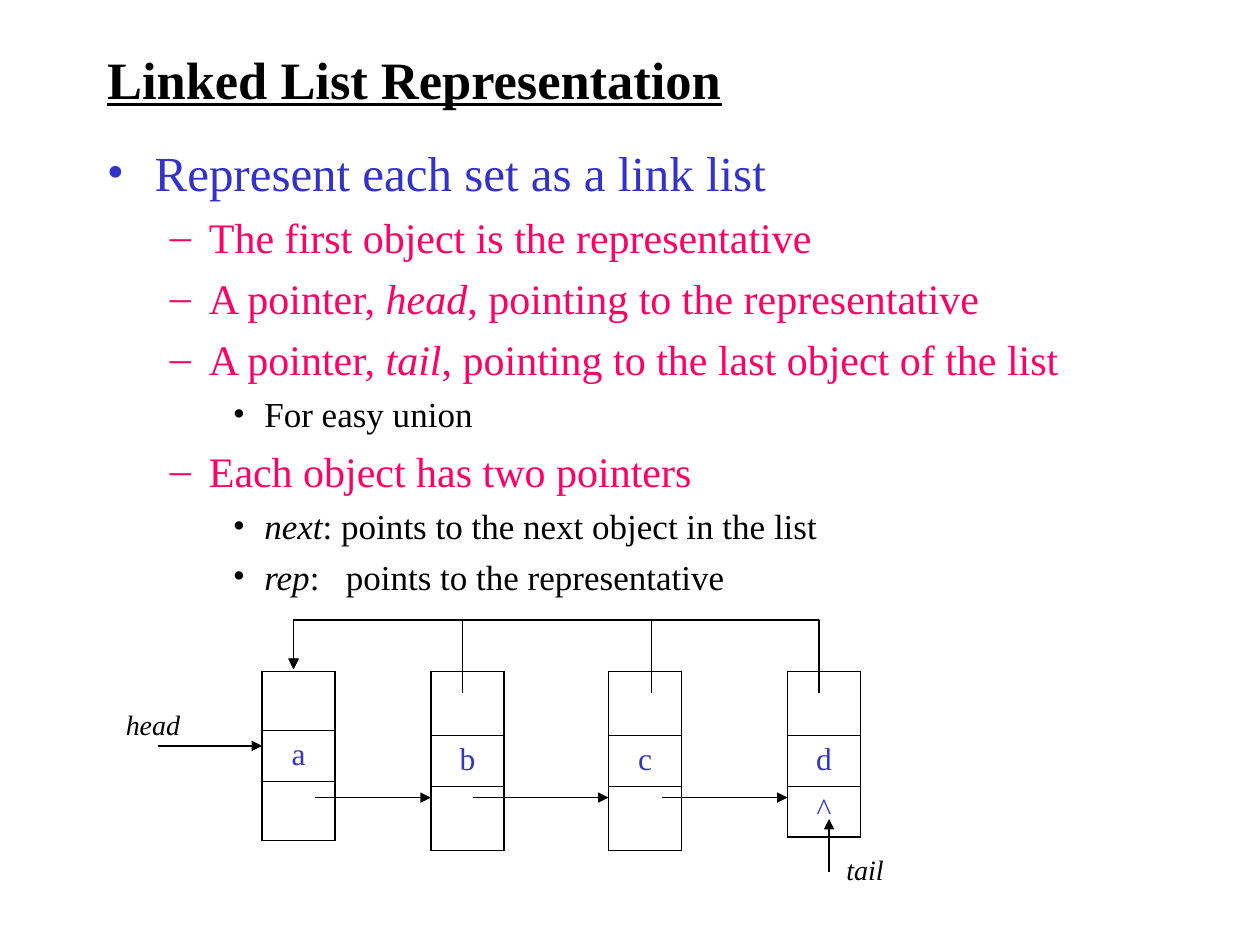
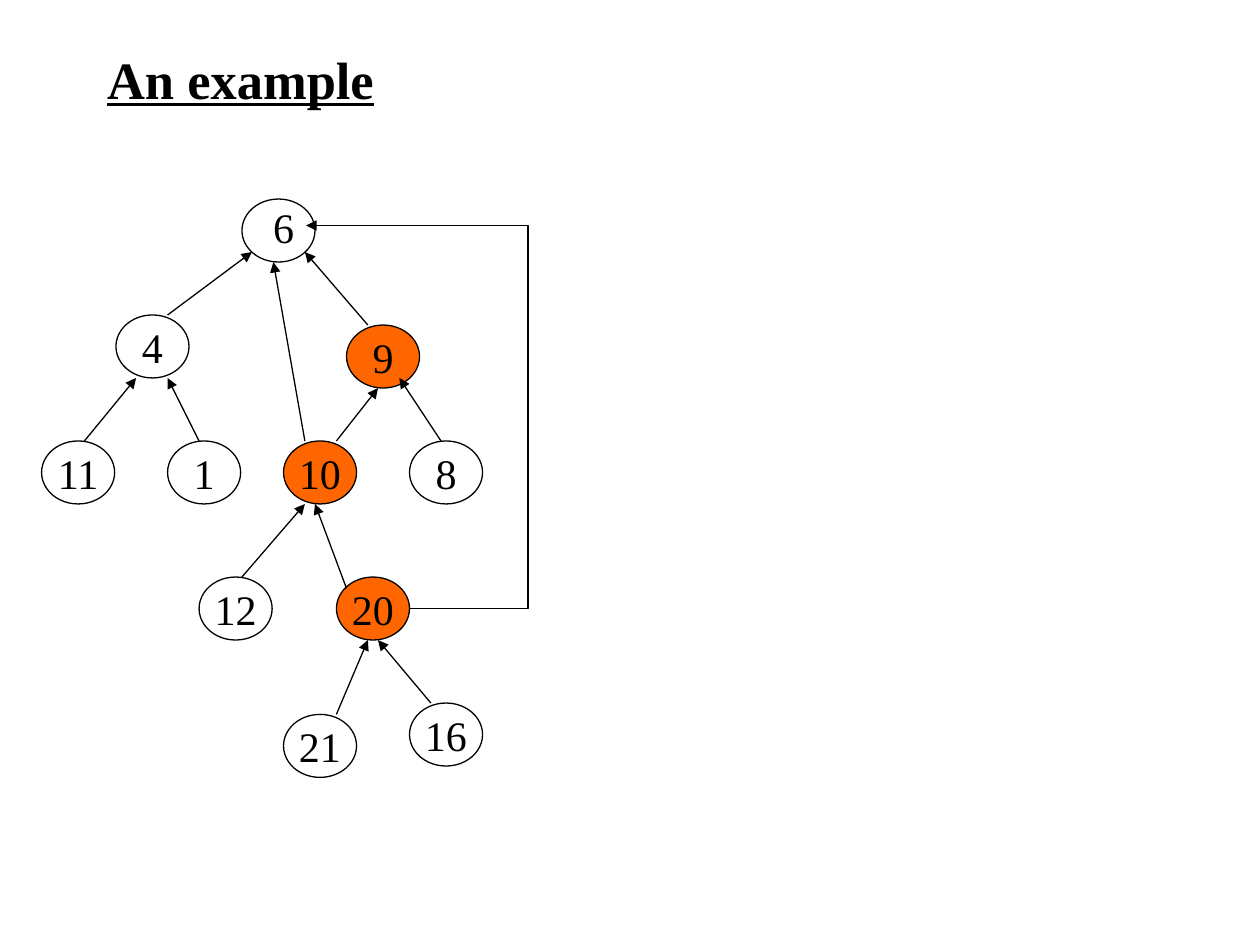
from lxml.etree import SubElement
from pptx import Presentation
from pptx.dml.color import RGBColor
from pptx.enum.shapes import MSO_CONNECTOR, MSO_SHAPE
from pptx.enum.text import MSO_ANCHOR, PP_ALIGN
from pptx.oxml.ns import qn
from pptx.util import Inches, Pt

FONT = "Times New Roman"
BLACK, WHITE, BLUE, PINK, ORANGE = "000000", "FFFFFF", "3333CC", "FF0066", "FF6600"
LINE_WIDTH = 0.75

LEVELS = [
    {"size": 28, "color": BLUE, "bullet": "•", "margin": 0.38, "hanging": 0.38, "before": 0},
    {"size": 24, "color": PINK, "bullet": "–", "margin": 0.81, "hanging": 0.31, "before": 6},
    {"size": 20, "color": BLACK, "bullet": "•", "margin": 1.25, "hanging": 0.25, "before": 5},
]
OUTLINE = [
    (0, [("Represent each set as a link list", "")]),
    (1, [("The first object is the representative", "")]),
    (1, [("A pointer, ", ""), ("head", "italic"), (", pointing to the representative", "")]),
    (1, [("A pointer, ", ""), ("tail", "italic"),
         (", pointing to the last object of the list", "")]),
    (2, [("For easy union", "")]),
    (1, [("Each object has two pointers", "")]),
    (2, [("next", "italic"), (": points to the next object in the list", "")]),
    (2, [("rep", "italic"), (":", ""), (" ", "wide"), ("points to the representative", "")]),
]

OBJECT_TOP, OBJECT_WIDTH = 5.33, 0.58
LIST_OBJECTS = [
    (2.08, ["", "a", ""], [0.47, 0.4, 0.47]),
    (3.42, ["", "b", ""], [0.51, 0.4, 0.51]),
    (4.83, ["", "c", ""], [0.51, 0.4, 0.51]),
    (6.25, ["", "d", "^"], [0.51, 0.4, 0.4]),
]
POINTER_LABELS = [("head", 0.9, 5.57), ("tail", 6.62, 6.72)]
POINTER_LABEL_WIDTH = 0.7
POINTERS = [
    ((1.25, 5.92), (2.08, 5.92)),
    ((2.5, 6.33), (3.42, 6.33)),
    ((3.75, 6.33), (4.83, 6.33)),
    ((5.25, 6.33), (6.25, 6.33)),
    ((6.58, 6.92), (6.58, 6.5)),
]
REP_STARTS = [3.67, 5.17, 6.5]
REP_BOTTOM, REP_TOP, REP_TARGET = 5.5, 4.92, (2.33, 5.31)

NODE_WIDTH, NODE_HEIGHT = 0.58, 0.5
NODES = [
    ("4", 0.92, 2.5, WHITE), ("", 1.92, 1.58, WHITE), ("9", 2.75, 2.58, ORANGE),
    ("11", 0.33, 3.5, WHITE), ("1", 1.33, 3.5, WHITE), ("10", 2.25, 3.5, ORANGE),
    ("8", 3.25, 3.5, WHITE), ("12", 1.58, 4.58, WHITE), ("20", 2.67, 4.58, ORANGE),
    ("21", 2.25, 5.67, WHITE), ("16", 3.25, 5.58, WHITE),
]
TREE_EDGES = [
    ((1.33, 2.5), (2, 2)), ((0.67, 3.5), (1.08, 3)), ((1.58, 3.5), (1.33, 3)),
    ((2.92, 2.58), (2.42, 2)), ((2.67, 3.5), (3, 3.08)), ((3.5, 3.5), (3.17, 3)),
    ((1.92, 4.58), (2.42, 4)), ((2.75, 4.67), (2.5, 4)), ((2.67, 5.67), (2.92, 5.08)),
    ((3.42, 5.58), (3, 5.08)), ((2.42, 3.5), (2.17, 2.08)),
]
ROOT_LABEL = ("6", 2.07, 1.55, 0.4)
SHORTCUT_START, SHORTCUT_END, SHORTCUT_RIGHT = (3.25, 4.83), (2.43, 1.79), 4.19


def rgb(color):
    return RGBColor.from_string(color)


def add_run(paragraph, text, size, color=BLACK, italic=False):
    run = paragraph.add_run()
    run.text = text
    run.font.name = FONT
    run.font.size = Pt(size)
    run.font.color.rgb = rgb(color)
    run.font.italic = italic
    return run


def add_titled_slide(presentation, title):
    slide = presentation.slides.add_slide(presentation.slide_layouts[5])
    shape = slide.shapes.title
    shape.left, shape.top = Inches(0.75), Inches(0.33)
    shape.width, shape.height = Inches(6.75), Inches(0.58)
    shape.text_frame.vertical_anchor = MSO_ANCHOR.MIDDLE
    paragraph = shape.text_frame.paragraphs[0]
    paragraph.alignment = PP_ALIGN.LEFT
    run = add_run(paragraph, title, 30)
    run.font.bold = True
    run.font.underline = True
    return slide


def add_label(slide, text, left, top, width, height, size, italic=False):
    box = slide.shapes.add_textbox(Inches(left), Inches(top), Inches(width), Inches(height))
    box.text_frame.word_wrap = True
    add_run(box.text_frame.paragraphs[0], text, size, italic=italic)


def style_line(shape, arrow=False):
    shape.line.color.rgb = rgb(BLACK)
    shape.line.width = Pt(LINE_WIDTH)
    if arrow:
        line = shape._element.spPr.find(qn("a:ln"))
        SubElement(line, qn("a:tailEnd"), type="triangle")


def add_arrow(slide, start, end, kind=MSO_CONNECTOR.STRAIGHT):
    points = [Inches(value) for value in (*start, *end)]
    connector = slide.shapes.add_connector(kind, *points)
    style_line(connector, arrow=True)
    SubElement(connector._element.spPr, qn("a:effectLst"))
    return connector


def add_outline(slide):
    box = slide.shapes.add_textbox(Inches(0.75), Inches(1.08), Inches(8.5), Inches(5.58))
    frame = box.text_frame
    frame.word_wrap = True
    for index, (level, runs) in enumerate(OUTLINE):
        style = LEVELS[level]
        paragraph = frame.add_paragraph() if index else frame.paragraphs[0]
        paragraph.level = level
        paragraph.space_before = Pt(style["before"])
        properties = paragraph._p.get_or_add_pPr()
        properties.set("marL", str(Inches(style["margin"])))
        properties.set("indent", str(-Inches(style["hanging"])))
        bullet_color = SubElement(properties, qn("a:buClr"))
        SubElement(bullet_color, qn("a:srgbClr"), val=style["color"])
        SubElement(properties, qn("a:buFont"), typeface=FONT)
        SubElement(properties, qn("a:buChar"), char=style["bullet"])
        for text, emphasis in runs:
            run = add_run(paragraph, text, style["size"], style["color"], emphasis == "italic")
            if emphasis == "wide":
                run._r.get_or_add_rPr().set("spc", "1000")


def set_borders(cell, widths):
    properties = cell._tc.get_or_add_tcPr()
    for side, width in widths.items():
        border = SubElement(properties, qn(f"a:ln{side}"), w=str(Pt(width)))
        fill = SubElement(border, qn("a:solidFill"))
        SubElement(fill, qn("a:srgbClr"), val=BLACK)


def add_list_object(slide, left, texts, heights):
    frame = slide.shapes.add_table(len(texts), 1, Inches(left), Inches(OBJECT_TOP),
                                   Inches(OBJECT_WIDTH), Inches(sum(heights)))
    table = frame.table
    table.first_row = False
    table.horz_banding = False
    last = len(texts) - 1
    for index, (text, height) in enumerate(zip(texts, heights)):
        table.rows[index].height = Inches(height)
        cell = table.cell(index, 0)
        set_borders(cell, {"L": 1.08, "R": 1.08, "T": 0.45 if index else 1.08,
                           "B": 0.45 if index < last else 1.08})
        cell.fill.background()
        if text:
            paragraph = cell.text_frame.paragraphs[0]
            paragraph.alignment = PP_ALIGN.CENTER
            add_run(paragraph, text, 18, BLUE)


def add_rep_pointer(slide, start):
    target_x, target_y = REP_TARGET
    builder = slide.shapes.build_freeform(Inches(start), Inches(REP_BOTTOM))
    corners = [(start, REP_TOP), (target_x, REP_TOP), (target_x, target_y)]
    builder.add_line_segments([(Inches(x), Inches(y)) for x, y in corners], close=False)
    shape = builder.convert_to_shape()
    shape.shadow.inherit = False
    shape.fill.background()
    style_line(shape, arrow=True)


def add_node(slide, text, left, top, color):
    node = slide.shapes.add_shape(MSO_SHAPE.OVAL, Inches(left), Inches(top),
                                  Inches(NODE_WIDTH), Inches(NODE_HEIGHT))
    node.shadow.inherit = False
    node.fill.solid()
    node.fill.fore_color.rgb = rgb(color)
    style_line(node)
    if text:
        frame = node.text_frame
        frame.word_wrap = False
        frame.vertical_anchor = MSO_ANCHOR.MIDDLE
        paragraph = frame.paragraphs[0]
        paragraph.alignment = PP_ALIGN.CENTER
        add_run(paragraph, text, 24)


def add_shortcut(slide):
    connector = add_arrow(slide, SHORTCUT_START, SHORTCUT_END, MSO_CONNECTOR.ELBOW)
    start_x, end_x = SHORTCUT_START[0], SHORTCUT_END[0]
    bend = round((start_x - SHORTCUT_RIGHT) / (start_x - end_x) * 100000)
    geometry = connector._element.spPr.find(qn("a:prstGeom"))
    adjustments = geometry.find(qn("a:avLst"))
    if adjustments is None:
        adjustments = SubElement(geometry, qn("a:avLst"))
    SubElement(adjustments, qn("a:gd"), name="adj1", fmla=f"val {bend}")


def build_linked_list(presentation):
    slide = add_titled_slide(presentation, "Linked List Representation")
    add_outline(slide)
    for left, texts, heights in LIST_OBJECTS:
        add_list_object(slide, left, texts, heights)
    for text, left, top in POINTER_LABELS:
        add_label(slide, text, left, top, POINTER_LABEL_WIDTH, 0.37, 16, italic=True)
    for start, end in POINTERS:
        add_arrow(slide, start, end)
    for start in REP_STARTS:
        add_rep_pointer(slide, start)


def build_tree(presentation):
    slide = add_titled_slide(presentation, "An example")
    for node in NODES:
        add_node(slide, *node)
    for start, end in TREE_EDGES:
        add_arrow(slide, start, end)
    add_label(slide, *ROOT_LABEL, 0.5, 24)
    add_shortcut(slide)


def main():
    presentation = Presentation()
    presentation.slide_width = Inches(10)
    presentation.slide_height = Inches(7.5)
    build_linked_list(presentation)
    build_tree(presentation)
    presentation.save("out.pptx")


if __name__ == "__main__":
    main()
